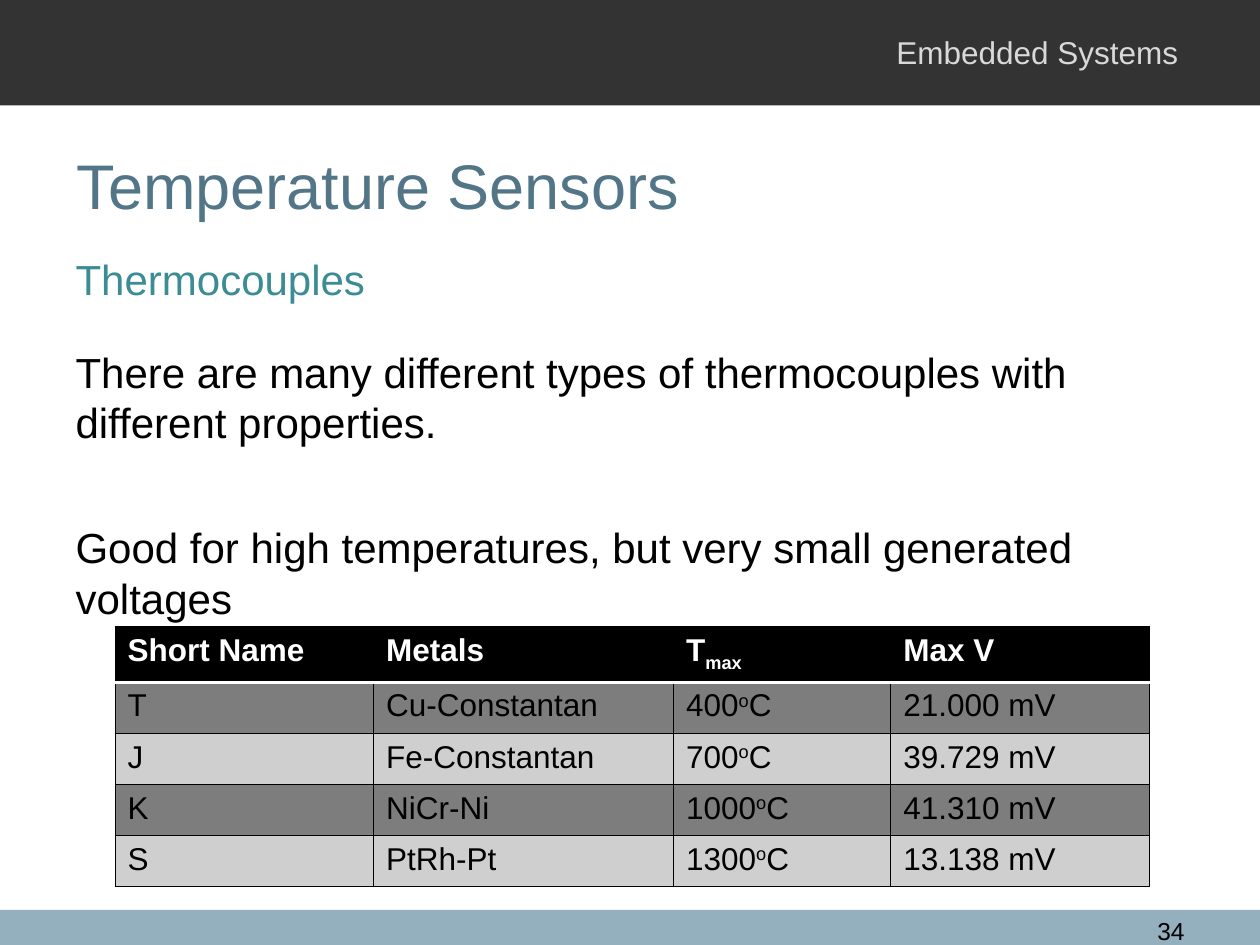
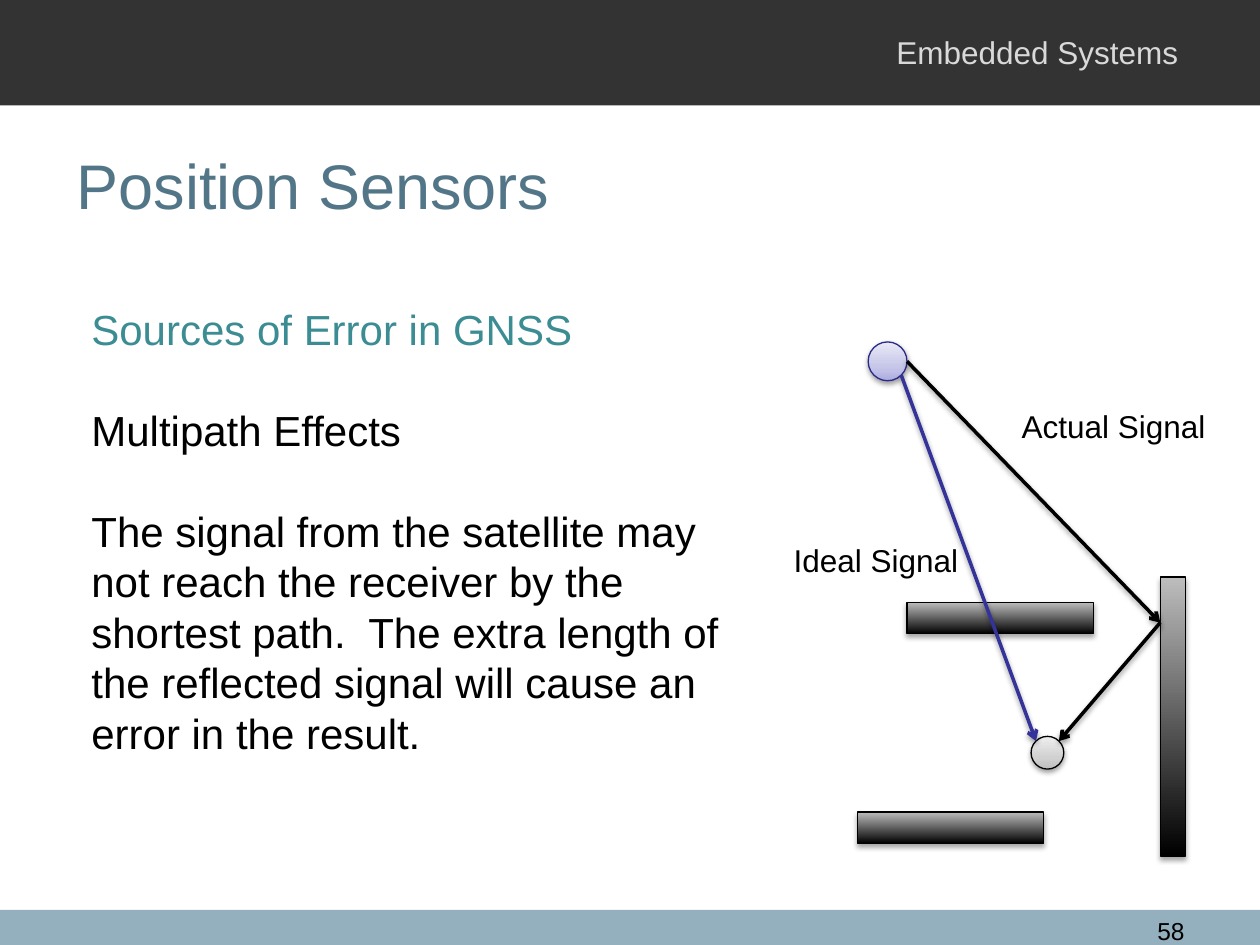
from dataclasses import dataclass

import lxml.etree
import pptx
import pptx.dml.color
import pptx.enum.dml
import pptx.enum.shapes
import pptx.enum.text
import pptx.oxml
import pptx.oxml.ns
import pptx.util
from pptx.util import Pt

# Shared look
FONT = "Arial"
BLACK, WHITE = "000000", "FFFFFF"
DARK_BAND, FOOT_BAND, COURSE = "333333", "94B0BE", "D9D9D9"
TITLE, TEAL, BLUE = "527688", "3C8C93", "333399"
ROW_FILLS = ("7D7D7D", "CFCFCF")
PAGE_WIDTH, PAGE_HEIGHT = 720, 540
SHAPES = pptx.enum.shapes.MSO_SHAPE
ALIGN = pptx.enum.text.PP_ALIGN
SUPERSCRIPT, SUBSCRIPT = 30000, -25000

GREY_BALL = ((0, "BDBDBD"), (35, "D1D1D1"), (100, "EEEEEE"))
BLUE_BALL = ((0, "ADADE1"), (35, "C6C6E9"), (100, "E9E9F7"))
WALL = ((0, BLACK), (100, "BDBDBD"))


@dataclass(frozen=True)
class Area:
    left: float
    top: float
    width: float
    height: float

    def lengths(self) -> tuple:
        return Pt(self.left), Pt(self.top), Pt(self.width), Pt(self.height)


@dataclass(frozen=True)
class Line:
    text: str
    color: str = BLACK
    before: float = 0


@dataclass(frozen=True)
class Solid:
    kind: object
    area: Area
    stops: tuple
    outline: str = BLACK
    shadow_alpha: int = 35
    shadow_distance: float = 1.8


@dataclass(frozen=True)
class Signal:
    start: tuple
    end: tuple
    color: str = BLACK


def rgb(color: str) -> pptx.dml.color.RGBColor:
    return pptx.dml.color.RGBColor.from_string(color)


def drawing_xml(body: str):
    """Parse one DrawingML element, given without its namespace."""
    head, tail = body.split(" ", 1)
    return pptx.oxml.parse_xml(f"{head} {pptx.oxml.ns.nsdecls('a')} {tail}")


def style_font(para, size: float, color: str, bold: bool = False) -> None:
    for span in para.runs:
        span.font.name, span.font.size, span.font.bold = FONT, Pt(size), bold
        span.font.color.rgb = rgb(color)


def add_band(page, area: Area, color: str) -> None:
    band = page.shapes.add_shape(SHAPES.RECTANGLE, *area.lengths())
    band.shadow.inherit = False
    band.fill.solid()
    band.fill.fore_color.rgb = rgb(color)
    band.line.fill.background()


def add_label(page, text: str, area: Area, size: float = 18, color: str = BLACK,
              align=ALIGN.LEFT, wrap: bool = False) -> None:
    box = page.shapes.add_textbox(*area.lengths())
    box.text_frame.word_wrap = wrap
    box.text_frame.text = text
    para = box.text_frame.paragraphs[0]
    para.alignment = align
    style_font(para, size, color)


def place(box, area: Area) -> None:
    box.left, box.top, box.width, box.height = area.lengths()
    box.text_frame.word_wrap = True
    box.text_frame.auto_size = pptx.enum.text.MSO_AUTO_SIZE.NONE


def add_page(deck, title: str, number: int, body_area: Area, lines: list):
    """Add a slide with bands, title, page number and unbulleted body text."""
    page = deck.slides.add_slide(deck.slide_layouts[1])
    add_band(page, Area(0, 520, PAGE_WIDTH, 20), FOOT_BAND)
    add_band(page, Area(0, 0, PAGE_WIDTH, 60.2), DARK_BAND)
    add_label(page, "Embedded Systems", Area(505.2, 15.2, 180, 29), color=COURSE, wrap=True)
    add_label(page, str(number), Area(638, 520, 46, 17), size=14, align=ALIGN.RIGHT, wrap=True)

    heading = page.shapes.title
    place(heading, Area(36.7, 60.2, 648, 90))
    heading.text_frame.text = title
    heading.text_frame.vertical_anchor = pptx.enum.text.MSO_ANCHOR.MIDDLE
    heading.text_frame.paragraphs[0].alignment = ALIGN.LEFT
    style_font(heading.text_frame.paragraphs[0], 36, TITLE)

    body = page.placeholders[1]
    place(body, body_area)
    body.text_frame.text = "\n".join(line.text for line in lines)
    for para, line in zip(body.text_frame.paragraphs, lines):
        para.space_before = Pt(line.before)
        style_font(para, 24, line.color)
        settings = para._p.get_or_add_pPr()
        settings.set("marL", "0")
        settings.set("indent", "0")
        settings.append(drawing_xml("<a:buNone />"))
    return page


# Table
def set_borders(cell, top: tuple, bottom: tuple) -> None:
    thin = (BLACK, 0.75)
    edges = (("lnL", thin), ("lnR", thin), ("lnT", top), ("lnB", bottom))
    settings = cell._tc.get_or_add_tcPr()
    for position, (edge, (color, width)) in enumerate(edges):
        settings.insert(position, drawing_xml(
            f'<a:{edge} w="{Pt(width)}"><a:solidFill><a:srgbClr val="{color}"/>'
            f'</a:solidFill></a:{edge}>'))


def fill_cell(cell, pieces: tuple, fill: str, color: str, bold: bool) -> None:
    """Write (text, baseline) pieces into a cell."""
    cell.fill.solid()
    cell.fill.fore_color.rgb = rgb(fill)
    para = cell.text_frame.paragraphs[0]
    for text, baseline in pieces:
        span = para.add_run()
        span.text = text
        if baseline:
            span._r.get_or_add_rPr().set("baseline", str(baseline))
    style_font(para, 18, color, bold)


def plain(text: str) -> tuple:
    return ((text, 0),)


def add_thermocouple_table(page) -> None:
    header = (plain("Short Name"), plain("Metals"),
              (("T", 0), ("max", SUBSCRIPT)), plain("Max V"))
    types = (("T", "Cu-Constantan", 400, "21.000 mV"),
             ("J", "Fe-Constantan", 700, "39.729 mV"),
             ("K", "NiCr-Ni", 1000, "41.310 mV"),
             ("S", "PtRh-Pt", 1300, "13.138 mV"))
    rows = [header] + [
        (plain(name), plain(metals),
         ((str(limit), 0), ("o", SUPERSCRIPT), ("C", 0)), plain(volts))
        for name, metals, limit, volts in types]
    widths = (147.7, 171.4, 124.2, 147.8)
    row_height = 29.2
    area = Area(65.8, 358, sum(widths), row_height * len(rows))
    table = page.shapes.add_table(len(rows), len(widths), *area.lengths()).table
    for column, width in zip(table.columns, widths):
        column.width = Pt(width)

    thin, rule = (BLACK, 0.75), (WHITE, 2)
    for row_index, row in enumerate(rows):
        table.rows[row_index].height = Pt(row_height)
        is_header = row_index == 0
        fill = BLACK if is_header else ROW_FILLS[(row_index - 1) % 2]
        for column_index, pieces in enumerate(row):
            cell = table.cell(row_index, column_index)
            fill_cell(cell, pieces, fill, WHITE if is_header else BLACK, is_header)
            set_borders(cell, rule if row_index == 1 else thin, rule if is_header else thin)


# Diagram
def add_shadow(shape, alpha: int, distance: float) -> None:
    shape._element.spPr.append(drawing_xml(
        f'<a:effectLst ><a:outerShdw blurRad="{Pt(3.1)}" dist="{Pt(distance)}" '
        f'dir="5400000" rotWithShape="0"><a:srgbClr val="{BLACK}">'
        f'<a:alpha val="{alpha * 1000}"/></a:srgbClr></a:outerShdw></a:effectLst>'))


def add_solid(page, solid: Solid) -> None:
    shape = page.shapes.add_shape(solid.kind, *solid.area.lengths())
    shape.fill.gradient()
    shape.fill.gradient_angle = 90
    stops = shape._element.spPr.find(".//" + pptx.oxml.ns.qn("a:gsLst"))
    for stop in list(stops):
        stops.remove(stop)
    for percent, color in solid.stops:
        stops.append(drawing_xml(
            f'<a:gs pos="{percent * 1000}"><a:srgbClr val="{color}"/></a:gs>'))
    shape.line.color.rgb = rgb(solid.outline)
    shape.line.width = Pt(0.75)
    add_shadow(shape, solid.shadow_alpha, solid.shadow_distance)


def add_signal(page, signal: Signal) -> None:
    ends = [Pt(value) for value in signal.start + signal.end]
    arrow = page.shapes.add_connector(pptx.enum.shapes.MSO_CONNECTOR.STRAIGHT, *ends)
    arrow.line.color.rgb = rgb(signal.color)
    arrow.line.width = Pt(2)
    arrow.line._get_or_add_ln().append(drawing_xml('<a:tailEnd type="arrow"/>'))
    add_shadow(arrow, 38, 1.6)


def add_multipath_diagram(page) -> None:
    satellite, receiver = Area(496.1, 195.4, 22.2, 22.2), Area(589.2, 420.8, 18.7, 18.7)
    reflection = (663, 355.8)
    solids = (
        Solid(SHAPES.OVAL, receiver, GREY_BALL, BLACK, 38, 1.6),
        Solid(SHAPES.RECTANGLE, Area(663, 329.7, 14.5, 159.5), WALL),
        Solid(SHAPES.RECTANGLE, Area(490, 464, 106.5, 18), WALL),
        Solid(SHAPES.RECTANGLE, Area(518.3, 344.2, 106.5, 18), WALL),
        Solid(SHAPES.OVAL, satellite, BLUE_BALL, "2A2A89", 38, 1.6),
    )
    signals = (
        Signal((515, 214.4), (592, 423.5), BLUE),
        Signal((518.3, 206.5), reflection),
        Signal(reflection, (605.1, 423.5)),
    )
    for solid in solids:
        add_solid(page, solid)
    for signal in signals:
        add_signal(page, signal)
    add_label(page, "Actual Signal", Area(576.7, 229, 121.7, 29))
    add_label(page, "Ideal Signal", Area(446.4, 305.8, 109.4, 29))


def main() -> None:
    deck = pptx.Presentation()
    deck.slide_width, deck.slide_height = Pt(PAGE_WIDTH), Pt(PAGE_HEIGHT)

    # Thermocouples
    page = add_page(deck, "Temperature Sensors", 34, Area(36, 141, 648, 178), [
        Line("Thermocouples", TEAL),
        Line("There are many different types of thermocouples with different properties.",
             before=24.5),
        Line("Good for high temperatures, but very small generated voltages", before=42.7),
    ])
    add_thermocouple_table(page)

    # Multipath errors
    page = add_page(deck, "Position Sensors", 58, Area(45, 170, 384, 269), [
        Line("Sources of Error in GNSS", TEAL),
        Line("Multipath Effects", before=28.8),
        Line("The signal from the satellite may not reach the receiver by the shortest path.  "
             "The extra length of the reflected signal will cause an error in the result.",
             before=28.8),
    ])
    add_multipath_diagram(page)

    deck.save("out.pptx")


if __name__ == "__main__":
    main()
